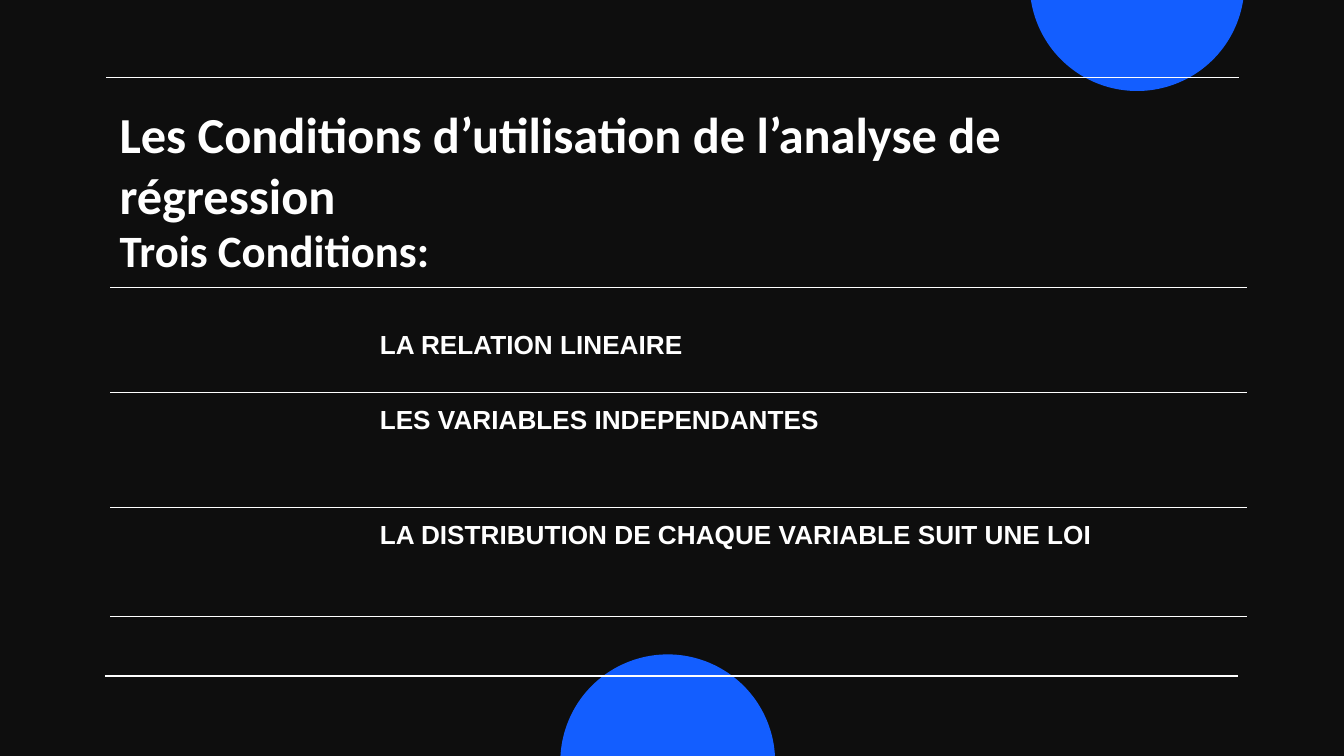
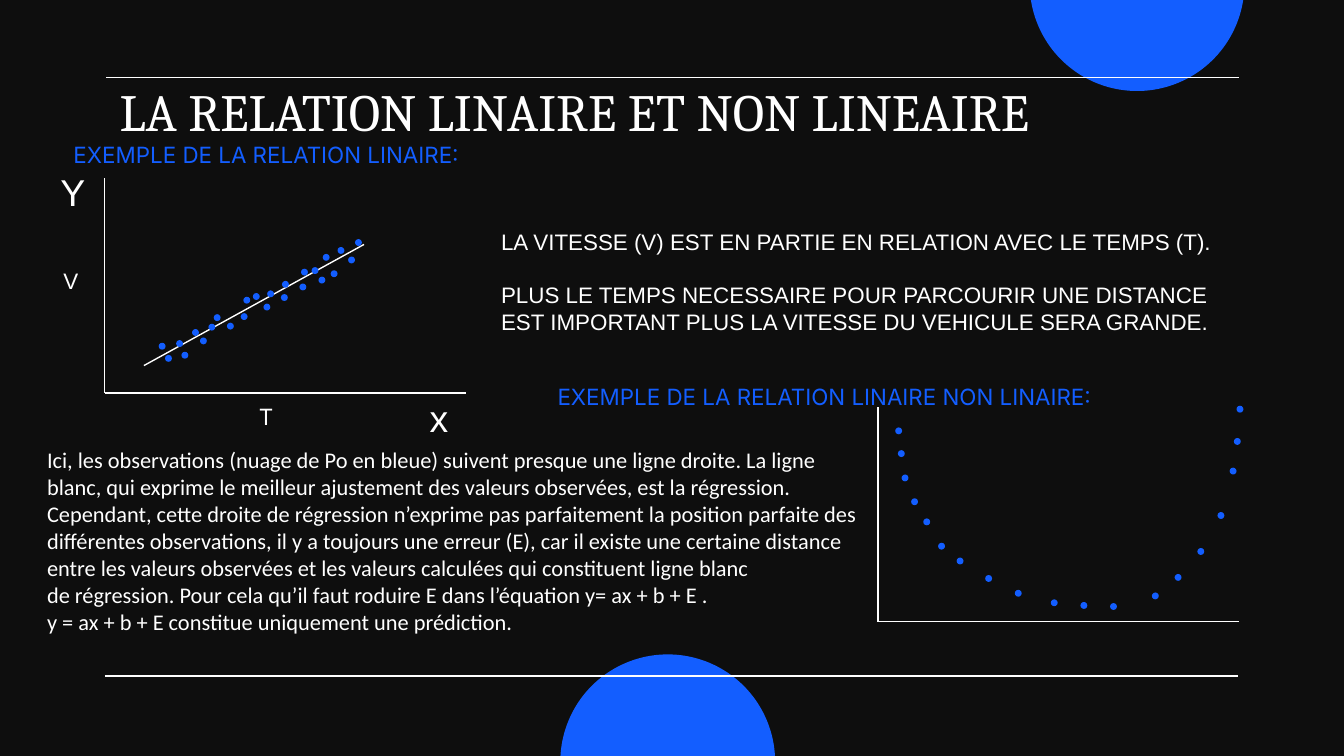
from dataclasses import dataclass

import pptx
import pptx.dml.color
import pptx.enum.shapes
import pptx.enum.text
import pptx.oxml
import pptx.oxml.ns
import pptx.shapes.autoshape
import pptx.slide
import pptx.table
import pptx.text.text
import pptx.util
from lxml import etree

Cm = pptx.util.Cm
Pt = pptx.util.Pt
RGBColor = pptx.dml.color.RGBColor
PP_ALIGN = pptx.enum.text.PP_ALIGN

# Shared look
BLACK = RGBColor(0x0E, 0x0E, 0x0E)
BLUE = RGBColor(0x13, 0x5E, 0xFF)
WHITE = RGBColor(0xFF, 0xFF, 0xFF)
LINE_WIDTH = Pt(0.75)
CIRCLE_SIZE = 4.06
DOT_SIZE = 0.13
AXIS_WIDTH, AXIS_HEIGHT = 6.82, 4.06
WIDE, NARROW = 0.25, 0.13  # inner margins


@dataclass(frozen=True)
class Style:
    font: str
    size: float
    color: RGBColor = WHITE
    bold: bool = False
    align: PP_ALIGN = PP_ALIGN.LEFT
    space_after: float = 0


@dataclass(frozen=True)
class Box:
    left: float
    top: float
    width: float
    height: float


@dataclass(frozen=True)
class Label:
    text: str
    box: Box
    style: Style
    margin_top: float = NARROW


@dataclass(frozen=True)
class Segment:
    x1: float
    y1: float
    x2: float
    y2: float


FIRST_TITLE = Style("Calibri", 27, bold=True)
SECOND_TITLE = Style("Cambria", 28)
SUBTITLE = Style("Calibri", 24, bold=True)
CONDITION = Style("Arial", 14, bold=True, space_after=16)
HEADING = Style("Inter", 12, BLUE, align=PP_ALIGN.CENTER)
AXIS_NAME = Style("Arial", 20)
VARIABLE = Style("Arial", 12, align=PP_ALIGN.CENTER)
VARIABLE_INTER = Style("Inter", 12, align=PP_ALIGN.CENTER)
REMARK = Style("Arial", 12, space_after=13.8)
EXPLANATION = Style("Calibri", 12)


# Text
def write_text(frame: pptx.text.text.TextFrame, text: str, style: Style) -> None:
    """Fill a text frame, one paragraph for each line of the text."""
    frame.text = text
    for paragraph in frame.paragraphs:
        paragraph.alignment = style.align
        paragraph.space_after = Pt(style.space_after)
        font = paragraph.runs[0].font
        values = {"name": style.font, "size": Pt(style.size), "bold": style.bold}
        for name, value in values.items():
            setattr(font, name, value)
        font.color.rgb = style.color


def format_frame(frame: pptx.text.text.TextFrame, margin_top: float) -> None:
    values = {
        "word_wrap": True,
        "auto_size": pptx.enum.text.MSO_AUTO_SIZE.NONE,
        "vertical_anchor": pptx.enum.text.MSO_ANCHOR.TOP,
        "margin_left": Cm(WIDE),
        "margin_right": Cm(WIDE),
        "margin_top": Cm(margin_top),
        "margin_bottom": Cm(margin_top),
    }
    for name, value in values.items():
        setattr(frame, name, value)


def add_label(slide: pptx.slide.Slide, label: Label) -> None:
    box = label.box
    shape = slide.shapes.add_textbox(
        Cm(box.left), Cm(box.top), Cm(box.width), Cm(box.height))
    format_frame(shape.text_frame, label.margin_top)
    write_text(shape.text_frame, label.text, label.style)


def set_title(slide: pptx.slide.Slide, text: str, box: Box, style: Style) -> None:
    title = slide.shapes.title
    for name in ("left", "top", "width", "height"):
        setattr(title, name, Cm(getattr(box, name)))
    format_frame(title.text_frame, WIDE)
    write_text(title.text_frame, text, style)


# Shapes and lines
def add_circle(slide: pptx.slide.Slide, left: float, top: float,
               size: float) -> None:
    circle = slide.shapes.add_shape(
        pptx.enum.shapes.MSO_SHAPE.OVAL, Cm(left), Cm(top), Cm(size), Cm(size))
    circle.shadow.inherit = False
    circle.fill.solid()
    circle.fill.fore_color.rgb = BLUE
    circle.line.fill.background()


def add_line(slide: pptx.slide.Slide, segment: Segment) -> None:
    line = slide.shapes.add_connector(
        pptx.enum.shapes.MSO_CONNECTOR.STRAIGHT,
        Cm(segment.x1), Cm(segment.y1), Cm(segment.x2), Cm(segment.y2))
    line.line.color.rgb = WHITE
    line.line.width = LINE_WIDTH
    etree.SubElement(line._element.spPr, pptx.oxml.ns.qn("a:effectLst"))


def add_axes(slide: pptx.slide.Slide, x: float, y: float) -> None:
    """Draw both axes from their common origin."""
    add_line(slide, Segment(x, y, x + AXIS_WIDTH, y))
    add_line(slide, Segment(x, y, x, y - AXIS_HEIGHT))


def add_decorated_slide(presentation: pptx.presentation.Presentation
                        ) -> pptx.slide.Slide:
    slide = presentation.slides.add_slide(presentation.slide_layouts[5])
    for left, top in ((19.46, -2.34), (10.59, 12.37)):
        add_circle(slide, left, top, CIRCLE_SIZE)
    for left, top in ((2.01, 1.47), (1.98, 12.78)):
        add_line(slide, Segment(left, top, left + 21.41, top))
    return slide


# Table
def format_cell(cell: pptx.table._Cell) -> None:
    """White rules above and below, no side borders, no fill."""
    properties = cell._tc.get_or_add_tcPr()
    for side in ("lnL", "lnR", "lnT", "lnB"):
        border = etree.SubElement(properties, pptx.oxml.ns.qn(f"a:{side}"))
        if side in ("lnL", "lnR"):
            etree.SubElement(border, pptx.oxml.ns.qn("a:noFill"))
            continue
        border.set("w", str(int(LINE_WIDTH)))
        fill = etree.SubElement(border, pptx.oxml.ns.qn("a:solidFill"))
        color = etree.SubElement(fill, pptx.oxml.ns.qn("a:srgbClr"))
        color.set("val", str(WHITE))
    cell.fill.background()


def add_conditions(slide: pptx.slide.Slide) -> None:
    # text, row height, margin above the text
    conditions = (
        ("LA RELATION LINEAIRE", 1.98, 0.82),
        ("LES VARIABLES INDEPENDANTES", 2.18, WIDE),
        ("LA DISTRIBUTION DE CHAQUE VARIABLE SUIT UNE LOI", 2.06, WIDE),
    )
    widths = (4.85, 16.64)
    table = slide.shapes.add_table(
        len(conditions), len(widths), Cm(2.08), Cm(5.44),
        Cm(sum(widths)), Cm(sum(height for _, height, _ in conditions))).table
    table.first_row = table.horz_banding = False
    for column, width in zip(table.columns, widths):
        column.width = Cm(width)
    for row, (text, height, margin_top) in zip(table.rows, conditions):
        row.height = Cm(height)
        for cell in row.cells:
            format_cell(cell)
        cell = row.cells[1]
        cell.margin_left = cell.margin_right = cell.margin_bottom = Cm(WIDE)
        cell.margin_top = Cm(margin_top)
        write_text(cell.text_frame, text, CONDITION)


# Slide 1: the three conditions
def build_conditions(presentation: pptx.presentation.Presentation) -> None:
    slide = add_decorated_slide(presentation)
    set_title(slide, "Les Conditions d’utilisation de l’analyse de régression",
              Box(2.01, 1.7, 21.41, 1.52), FIRST_TITLE)
    add_conditions(slide)
    add_label(slide, Label("Trois Conditions:", Box(2.01, 3.96, 21.41, 1.52),
                           SUBTITLE, WIDE))


# Slide 2: linear and non-linear relations
LINEAR_DOTS = (
    (3.00, 6.48), (3.12, 6.71), (3.33, 6.43), (3.43, 6.65), (3.63, 6.22),
    (3.78, 6.38), (3.94, 6.12), (4.04, 5.94), (4.29, 6.10), (4.55, 5.92),
    (4.60, 5.61), (4.78, 5.54), (4.98, 5.74), (5.05, 5.49), (5.31, 5.56),
    (5.33, 5.31), (5.66, 5.36), (5.69, 5.08), (5.89, 5.05), (6.02, 5.23),
    (6.10, 4.80), (6.25, 5.11), (6.38, 4.67), (6.58, 4.85), (6.71, 4.52),
)
CURVED_DOTS = (
    (16.92, 8.08), (16.97, 8.51), (17.04, 8.97), (17.22, 9.42), (17.45, 9.80),
    (17.73, 10.26), (18.08, 10.54), (18.62, 10.87), (19.18, 11.15),
    (19.86, 11.33), (20.42, 11.38), (20.98, 11.40), (21.77, 11.20),
    (22.20, 10.85), (22.63, 10.36), (23.01, 9.68), (23.24, 8.84),
    (23.32, 8.28), (23.37, 7.67),
)
RELATION_LABELS = (
    Label("EXEMPLE DE LA RELATION LINAIRE:",
          Box(0.64, 2.41, 8.79, 1.6), HEADING, WIDE),
    Label("EXEMPLE DE LA RELATION LINAIRE NON LINAIRE:",
          Box(9.83, 6.99, 11.51, 1.6), HEADING, WIDE),
    Label("Y", Box(0.89, 3.07, 0.94, 1.12), AXIS_NAME),
    Label("x", Box(7.87, 7.34, 0.94, 1.12), AXIS_NAME),
    Label("V", Box(0.91, 4.8, 0.86, 0.97), VARIABLE, WIDE),
    Label("T", Box(4.6, 7.37, 0.86, 0.97), VARIABLE_INTER, WIDE),
    Label("LA VITESSE (V) EST EN PARTIE EN RELATION AVEC LE TEMPS (T).\n"
          "PLUS LE TEMPS NECESSAIRE POUR PARCOURIR UNE DISTANCE EST IMPORTANT "
          "PLUS LA VITESSE DU VEHICULE SERA GRANDE.",
          Box(9.22, 4.19, 14.68, 2.31), REMARK),
    Label("Ici, les observations (nuage de Po en bleue) suivent presque une "
          "ligne droite. La ligne blanc, qui exprime le meilleur ajustement "
          "des valeurs observées, est la régression. Cependant,\u00a0cette "
          "droite de régression n’exprime pas parfaitement la position "
          "parfaite des différentes observations, il y a toujours une erreur "
          "(E), car il existe une certaine distance entre les valeurs "
          "observées et les valeurs calculées qui constituent ligne blanc "
          "de\u00a0régression.\u00a0Pour cela qu’il faut roduire E dans "
          "l’équation y= ax + b + E .\n"
          "y = ax + b + E constitue uniquement une prédiction.",
          Box(0.64, 8.31, 15.95, 4.37), EXPLANATION),
)


def build_relations(presentation: pptx.presentation.Presentation) -> None:
    slide = add_decorated_slide(presentation)
    set_title(slide, "LA RELATION LINAIRE ET NON LINEAIRE",
              Box(2.01, 1.24, 21.41, 1.6), SECOND_TITLE)
    add_axes(slide, 1.98, 7.43)
    add_axes(slide, 16.59, 11.75)
    add_line(slide, Segment(6.88, 4.62, 2.72, 6.91))  # regression line
    for left, top in LINEAR_DOTS + CURVED_DOTS:
        add_circle(slide, left, top, DOT_SIZE)
    for label in RELATION_LABELS:
        add_label(slide, label)


def main() -> None:
    presentation = pptx.Presentation()
    presentation.slide_width = Cm(25.4)
    presentation.slide_height = Cm(14.29)
    background = presentation.slide_master.background.fill
    background.solid()
    background.fore_color.rgb = BLACK
    build_conditions(presentation)
    build_relations(presentation)
    presentation.save("out.pptx")


main()
